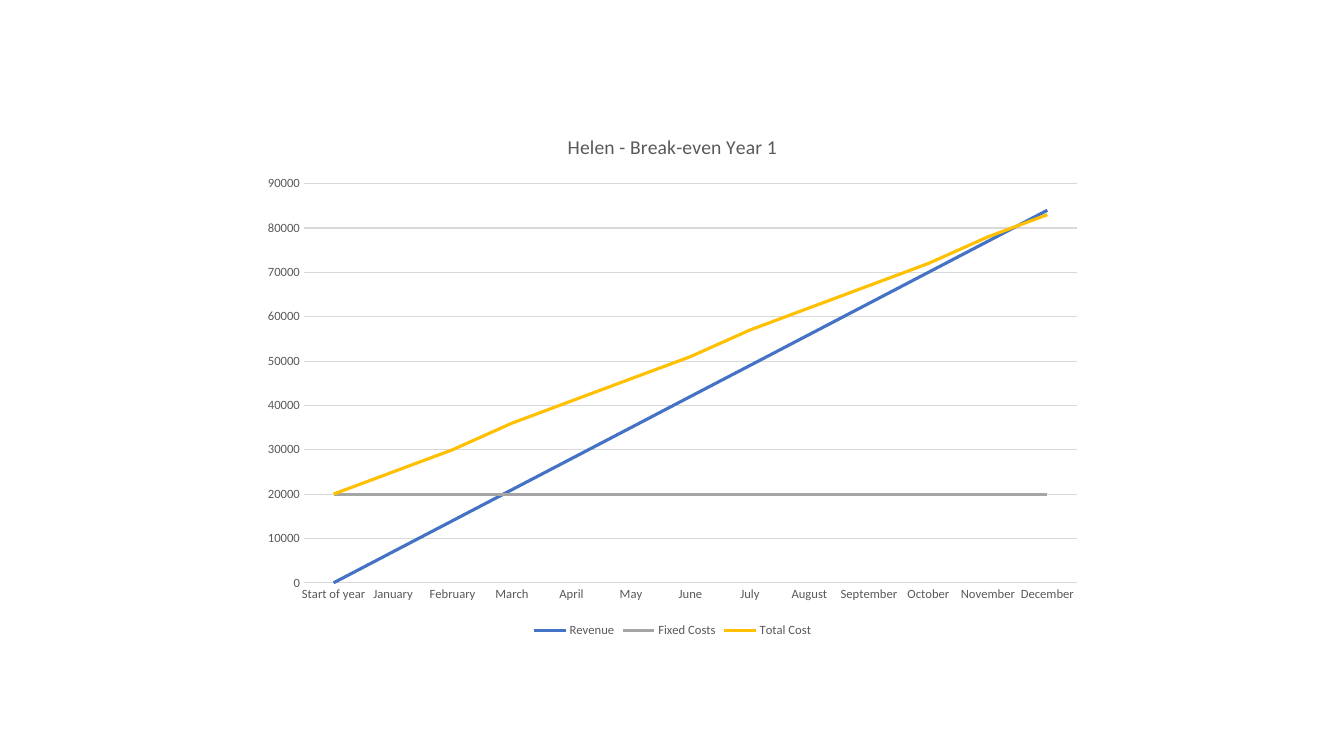
from dataclasses import dataclass

from pptx import Presentation
from pptx.chart.data import CategoryChartData
from pptx.dml.color import RGBColor
from pptx.enum.chart import XL_CHART_TYPE, XL_LEGEND_POSITION, XL_MARKER_STYLE, XL_TICK_MARK
from pptx.text.text import Font
from pptx.util import Inches, Pt

COLORS = {
    "revenue": "4472C4",
    "fixed": "A5A5A5",
    "total": "FFC000",
    "text": "595959",
    "grid": "D9D9D9",
}
PERIODS = ["Start of year", "January", "February", "March", "April", "May", "June",
           "July", "August", "September", "October", "November", "December"]


@dataclass(frozen=True)
class MoneyLine:
    name: str
    values: list[int]
    color: str


MONEY_LINES = [
    MoneyLine("Revenue", [7000 * month for month in range(len(PERIODS))], "revenue"),
    MoneyLine("Fixed Costs", [20000] * len(PERIODS), "fixed"),
    MoneyLine("Total Cost", [20000, 25000, 30000, 36000, 41000, 46000, 51000,
                             57000, 62000, 67000, 72000, 78000, 83000], "total"),
]


def format_font(font: Font, size: float = 9) -> None:
    font.name = "Calibri"
    font.size = Pt(size)
    font.bold = False
    font.color.rgb = RGBColor.from_string(COLORS["text"])


def format_line(line, color: str, width: float = 0.75) -> None:
    line.color.rgb = RGBColor.from_string(COLORS[color])
    line.width = Pt(width)


def write_title(chart, text: str, size: float) -> None:
    chart.has_title = True
    chart.chart_title.include_in_layout = False
    paragraph = chart.chart_title.text_frame.paragraphs[0]
    run = paragraph.add_run()
    run.text = text
    format_font(run.font, size)


def add_break_even_chart(slide) -> None:
    data = CategoryChartData(number_format="General")
    data.categories = PERIODS
    for money in MONEY_LINES:
        data.add_series(money.name, money.values)
    chart = slide.shapes.add_chart(
        XL_CHART_TYPE.LINE, Inches(2.49), Inches(1.13), Inches(8.36), Inches(5.24), data
    ).chart
    format_font(chart.font)
    write_title(chart, "Helen - Break-even Year 1", size=14)

    # Lines
    chart.plots[0].vary_by_categories = False
    for series, money in zip(chart.plots[0].series, MONEY_LINES):
        series.smooth = False
        series.marker.style = XL_MARKER_STYLE.NONE
        format_line(series.format.line, money.color, width=2.25)

    # Axes and gridlines
    for axis in (chart.category_axis, chart.value_axis):
        axis.major_tick_mark = axis.minor_tick_mark = XL_TICK_MARK.NONE
        format_font(axis.tick_labels.font)
    format_line(chart.category_axis.format.line, "grid")
    amounts = chart.value_axis
    amounts.minimum_scale, amounts.maximum_scale, amounts.major_unit = 0, 90000, 10000
    amounts.format.line.fill.background()
    amounts.has_major_gridlines = True
    format_line(amounts.major_gridlines.format.line, "grid")

    # Legend
    chart.has_legend = True
    chart.legend.position = XL_LEGEND_POSITION.BOTTOM
    chart.legend.include_in_layout = False
    format_font(chart.legend.font)


def main() -> None:
    presentation = Presentation()
    presentation.slide_width = Inches(13.33)
    presentation.slide_height = Inches(7.5)
    blank_layout = presentation.slide_layouts[6]
    add_break_even_chart(presentation.slides.add_slide(blank_layout))
    presentation.save("out.pptx")


if __name__ == "__main__":
    main()
